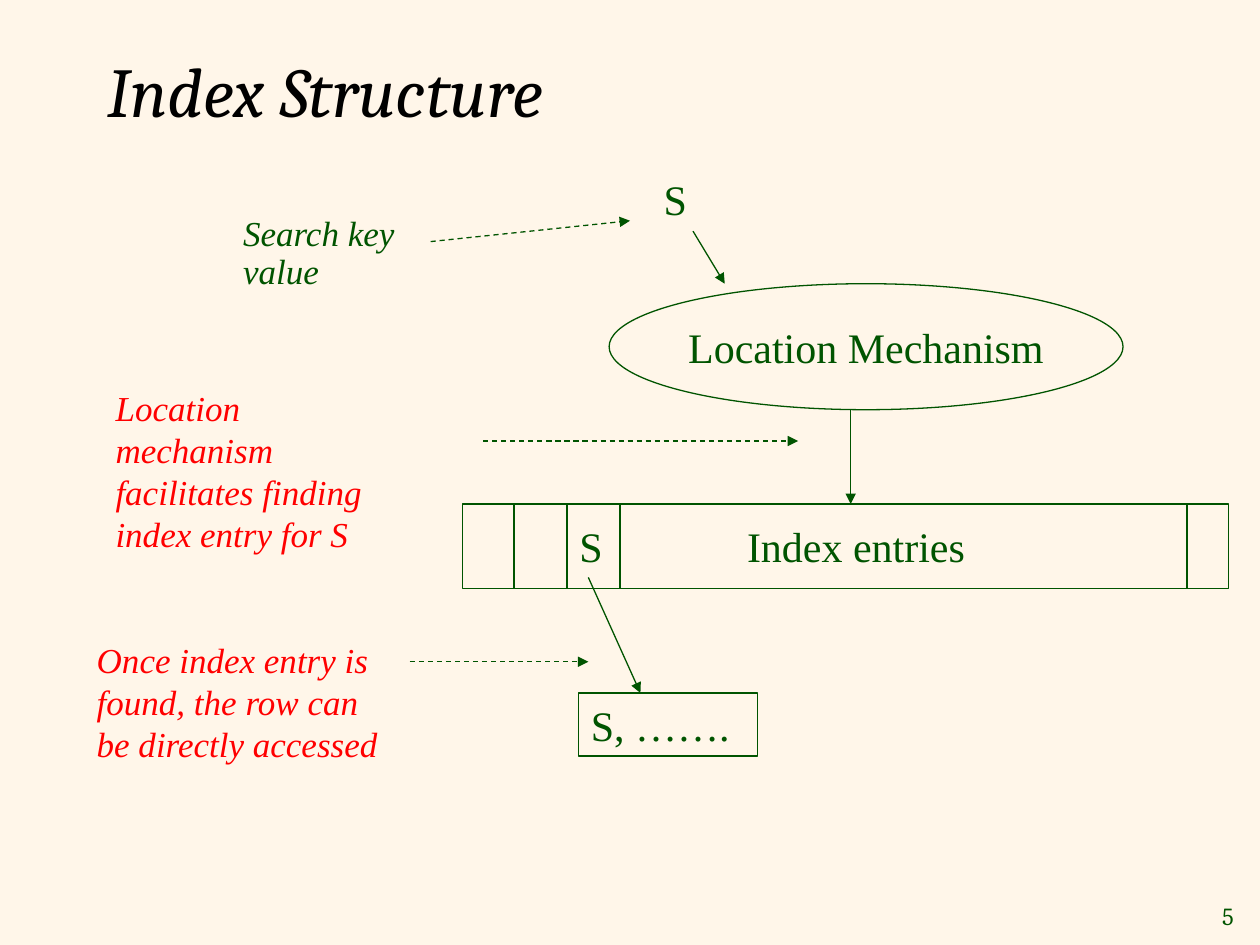
from lxml.etree import SubElement
from pptx import Presentation
from pptx.dml.color import RGBColor
from pptx.enum.dml import MSO_LINE_DASH_STYLE as Dash
from pptx.enum.shapes import MSO_CONNECTOR as Connector, MSO_SHAPE as Shape
from pptx.enum.text import MSO_ANCHOR as Anchor, MSO_AUTO_SIZE as AutoSize, PP_ALIGN as Align
from pptx.oxml.ns import qn
from pptx.util import Cm, Pt

CREAM, GREEN, RED, BLACK = "FFF6E9", "005400", "FF0000", "000000"

TITLE = ("Index Structure", (1.91, 0.84, 21.59, 1.91))
MECHANISM = ("Location Mechanism", (12.28, 5.72, 10.36, 2.54))
INDEX = (9.32, 10.16, 15.44, 1.7)
ROW = (11.66, 13.97, 3.61, 1.27)
DIVIDERS = [10.36, 11.43, 12.5, 23.93]
NOTE = dict(size=20, italic=True)
LABELS = [
    (["Index entries"], (14.81, 10.36, 4.9, 1.27), {}),
    (["S"], (13.13, 3.38, 0.99, 1.27), {}),
    (["S"], (11.43, 10.36, 0.99, 1.27), {}),
    (["S, ……."], (11.66, 13.97, 3.3, 1.27), {}),
    (["Search key", "value"], (4.65, 4.24, 3.58, 1.78), dict(NOTE, spacing=0.9)),
    (["Location mechanism", "facilitates finding", "index entry for S"],
     (2.08, 7.67, 5.8, 3.6), dict(NOTE, color=RED, wrap=True)),
    (["Once index entry is found, the row can be directly accessed"],
     (1.7, 12.75, 6.55, 2.79), dict(NOTE, color=RED, wrap=True)),
]
FLOWS = [
    ((13.97, 4.66), (14.61, 5.72)),
    ((17.15, 8.26), (17.15, 10.16)),
    ((11.86, 11.64), (12.91, 13.97)),
]
POINTERS = [
    ((8.68, 4.87), (12.7, 4.45)),
    ((9.74, 8.89), (16.09, 8.89)),
    ((8.26, 13.34), (11.86, 13.34)),
]


def rgb(code):
    """Turn a hex string into a colour."""
    return RGBColor.from_string(code)


def lengths(values):
    """Turn centimetre numbers into lengths."""
    return [Cm(value) for value in values]


def write(frame, lines, size=24, color=GREEN, font="Times New Roman", italic=False,
          align=Align.LEFT, anchor=Anchor.TOP, spacing=None, wrap=False):
    """Fill a text frame with formatted paragraphs."""
    frame.auto_size = AutoSize.NONE
    frame.word_wrap = wrap
    frame.vertical_anchor = anchor
    for number, line in enumerate(lines):
        paragraph = frame.add_paragraph() if number else frame.paragraphs[0]
        paragraph.alignment = align
        paragraph.line_spacing = spacing
        run = paragraph.add_run()
        run.text = line
        run.font.size = Pt(size)
        run.font.name = font
        run.font.italic = italic
        run.font.color.rgb = rgb(color)


def add_label(slide, lines, box, **style):
    """Add a text box and return its frame."""
    frame = slide.shapes.add_textbox(*lengths(box)).text_frame
    write(frame, lines, **style)
    return frame


def add_outline(slide, kind, box):
    """Add a cream shape with a thin green outline."""
    outline = slide.shapes.add_shape(kind, *lengths(box))
    outline.shadow.inherit = False
    outline.fill.solid()
    outline.fill.fore_color.rgb = rgb(CREAM)
    outline.line.color.rgb = rgb(GREEN)
    outline.line.width = Pt(0.75)
    return outline


def add_line(slide, start, end, arrow=False, dashed=False):
    """Add a thin green line, optionally dashed or with an arrowhead."""
    line = slide.shapes.add_connector(Connector.STRAIGHT, *lengths(start + end))
    line.line.color.rgb = rgb(GREEN)
    line.line.width = Pt(0.75)
    if dashed:
        line.line.dash_style = Dash.DASH
    properties = line._element.spPr
    if arrow:
        SubElement(properties.find(qn("a:ln")), qn("a:tailEnd"), type="triangle")
    SubElement(properties, qn("a:effectLst"))


def add_page_number(slide, number):
    """Add the slide number as a field."""
    frame = add_label(slide, [number], (24, 18.03, 1.12, 0.84), size=14, font="Cambria",
                      align=Align.RIGHT, anchor=Anchor.MIDDLE)
    field = frame.paragraphs[0].runs[0]._r
    field.tag = qn("a:fld")
    field.set("id", "{B6F15528-21DE-4FAA-801E-634DDDAF4B2B}")
    field.set("type", "slidenum")


def main():
    """Build the index structure slide."""
    deck = Presentation()
    deck.slide_width, deck.slide_height = Cm(25.4), Cm(19.05)
    deck.element.set("firstSlideNum", "5")
    slide = deck.slides.add_slide(deck.slide_layouts[5])
    slide.background.fill.solid()
    slide.background.fill.fore_color.rgb = rgb(CREAM)

    heading, title_box = TITLE
    title = slide.shapes.title
    title.left, title.top, title.width, title.height = lengths(title_box)
    write(title.text_frame, [heading], size=40, color=BLACK, font="Cambria", italic=True,
          anchor=Anchor.MIDDLE, wrap=True)

    mechanism, mechanism_box = MECHANISM
    ellipse = add_outline(slide, Shape.OVAL, mechanism_box)
    write(ellipse.text_frame, [mechanism], align=Align.CENTER, anchor=Anchor.MIDDLE)
    for box in (INDEX, ROW):
        add_outline(slide, Shape.RECTANGLE, box)

    index_top, index_bottom = INDEX[1], INDEX[1] + INDEX[3]
    for x in DIVIDERS:
        add_line(slide, (x, index_top), (x, index_bottom))
    for lines, box, style in LABELS:
        add_label(slide, lines, box, **style)
    for start, end in FLOWS:
        add_line(slide, start, end, arrow=True)
    for start, end in POINTERS:
        add_line(slide, start, end, arrow=True, dashed=True)
    add_page_number(slide, "5")
    deck.save("out.pptx")


if __name__ == "__main__":
    main()
